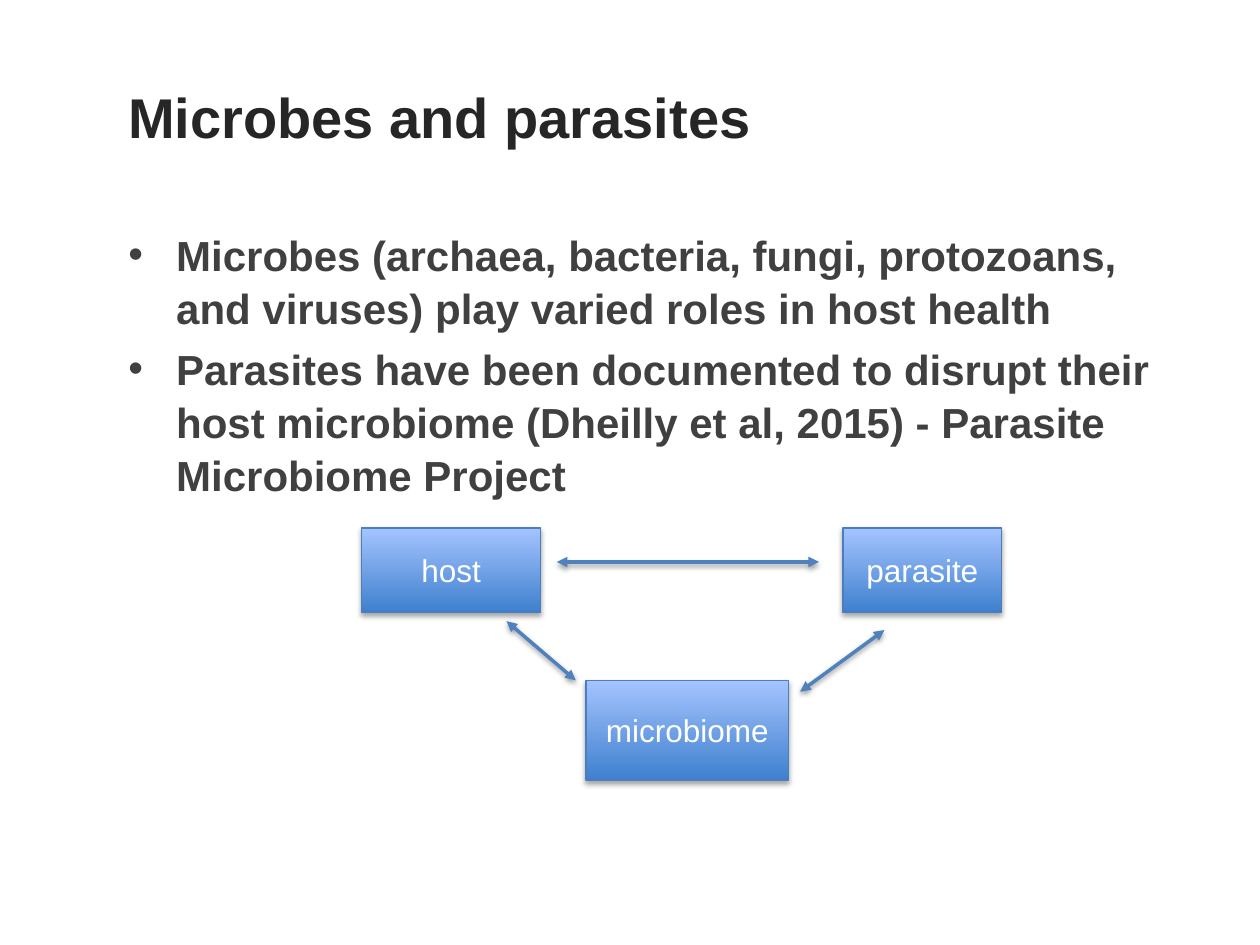
from lxml import etree
from pptx import Presentation
from pptx import util as u
from pptx.dml.color import RGBColor
from pptx.enum import shapes, text
from pptx.oxml import parse_xml
from pptx.oxml.ns import nsdecls, qn

COLORS = {
    "title": "262626",
    "body": "404040",
    "label": "FFFFFF",
    "box_bottom": "3F80CE",
    "box_top": "A4C4FF",
    "box_line": "4B7EBC",
    "arrow": "4F81BD",
    "shadow": "000000",
}


def color(name):
    return RGBColor.from_string(COLORS[name])


class SlideBuilder:
    font_name = "Arial"

    def __init__(self, slide):
        self.slide = slide

    def set_font(self, paragraph, size, color_name, bold=False):
        font = paragraph.font
        font.name = self.font_name
        font.size = u.Pt(size)
        font.bold = bold
        font.color.rgb = color(color_name)

    def add_shadow(self, properties, opacity, distance):
        """Append a soft downward shadow; the line must already be set."""
        properties.append(parse_xml(
            f'<a:effectLst {nsdecls("a")}>'
            f'<a:outerShdw blurRad="{u.Pt(3.1)}" dist="{u.Pt(distance)}" '
            f'dir="5400000" rotWithShape="0">'
            f'<a:srgbClr val="{COLORS["shadow"]}">'
            f'<a:alpha val="{opacity * 1000}"/></a:srgbClr>'
            f'</a:outerShdw></a:effectLst>'))

    def text_frame(self, left, top, width, height):
        shape = self.slide.shapes.add_textbox(
            u.Inches(left), u.Inches(top), u.Inches(width), u.Inches(height))
        shape.text_frame.word_wrap = True
        return shape.text_frame

    def title(self, words, *position):
        frame = self.text_frame(*position)
        frame.vertical_anchor = text.MSO_ANCHOR.MIDDLE
        frame.text = words
        self.set_font(frame.paragraphs[0], 32, "title", bold=True)

    def bullets(self, items, *position):
        frame = self.text_frame(*position)
        frame.text = "\n".join(items)
        for index, paragraph in enumerate(frame.paragraphs):
            properties = paragraph._p.get_or_add_pPr()
            properties.set("marL", str(u.Inches(0.38)))
            properties.set("indent", str(-u.Inches(0.38)))
            etree.SubElement(properties, qn("a:buFont"), typeface=self.font_name)
            etree.SubElement(properties, qn("a:buChar"), char="•")
            paragraph.line_spacing = 1.05
            if index:
                paragraph.space_before = u.Pt(4.8)
            self.set_font(paragraph, 24, "body", bold=True)

    def box(self, label, left, top, width, height):
        shape = self.slide.shapes.add_shape(
            shapes.MSO_SHAPE.RECTANGLE,
            u.Inches(left), u.Inches(top), u.Inches(width), u.Inches(height))
        shape.fill.gradient()
        shape.fill.gradient_angle = 90
        for stop, name in zip(shape.fill.gradient_stops, ("box_bottom", "box_top")):
            stop.color.rgb = color(name)
        shape.line.color.rgb = color("box_line")
        shape.line.width = u.Pt(0.75)
        self.add_shadow(shape._element.spPr, 35, 1.8)
        frame = shape.text_frame
        frame.word_wrap = True
        frame.vertical_anchor = text.MSO_ANCHOR.MIDDLE
        frame.text = label
        paragraph = frame.paragraphs[0]
        paragraph.alignment = text.PP_ALIGN.CENTER
        self.set_font(paragraph, 18, "label")

    def double_arrow(self, *ends):
        connector = self.slide.shapes.add_connector(
            shapes.MSO_CONNECTOR.STRAIGHT, *map(u.Inches, ends))
        connector.line.color.rgb = color("arrow")
        connector.line.width = u.Pt(2)
        line = connector.line._get_or_add_ln()
        for end in ("a:headEnd", "a:tailEnd"):
            etree.SubElement(line, qn(end), type="triangle")
        self.add_shadow(connector._element.spPr, 38, 1.6)


def main():
    presentation = Presentation()
    presentation.slide_width = u.Inches(10)
    presentation.slide_height = u.Inches(7.5)
    slide = presentation.slides.add_slide(presentation.slide_layouts[6])
    builder = SlideBuilder(slide)

    builder.title("Microbes and parasites", 0.92, 0.3, 8.58, 1.25)
    builder.bullets([
        "Microbes (archaea, bacteria, fungi, protozoans, and viruses) "
        "play varied roles in host health",
        "Parasites have been documented to disrupt their host microbiome "
        "(Dheilly et al, 2015) - Parasite Microbiome Project",
    ], 0.92, 1.75, 8.58, 2.24)

    builder.box("host", 2.87, 4.19, 1.42, 0.67)
    builder.box("parasite", 6.69, 4.19, 1.26, 0.67)
    builder.box("microbiome", 4.65, 5.4, 1.61, 0.79)

    builder.double_arrow(4.02, 4.93, 4.57, 5.4)
    builder.double_arrow(4.42, 4.46, 6.5, 4.46)
    builder.double_arrow(7.02, 5, 6.35, 5.49)

    presentation.save("out.pptx")


if __name__ == "__main__":
    main()
